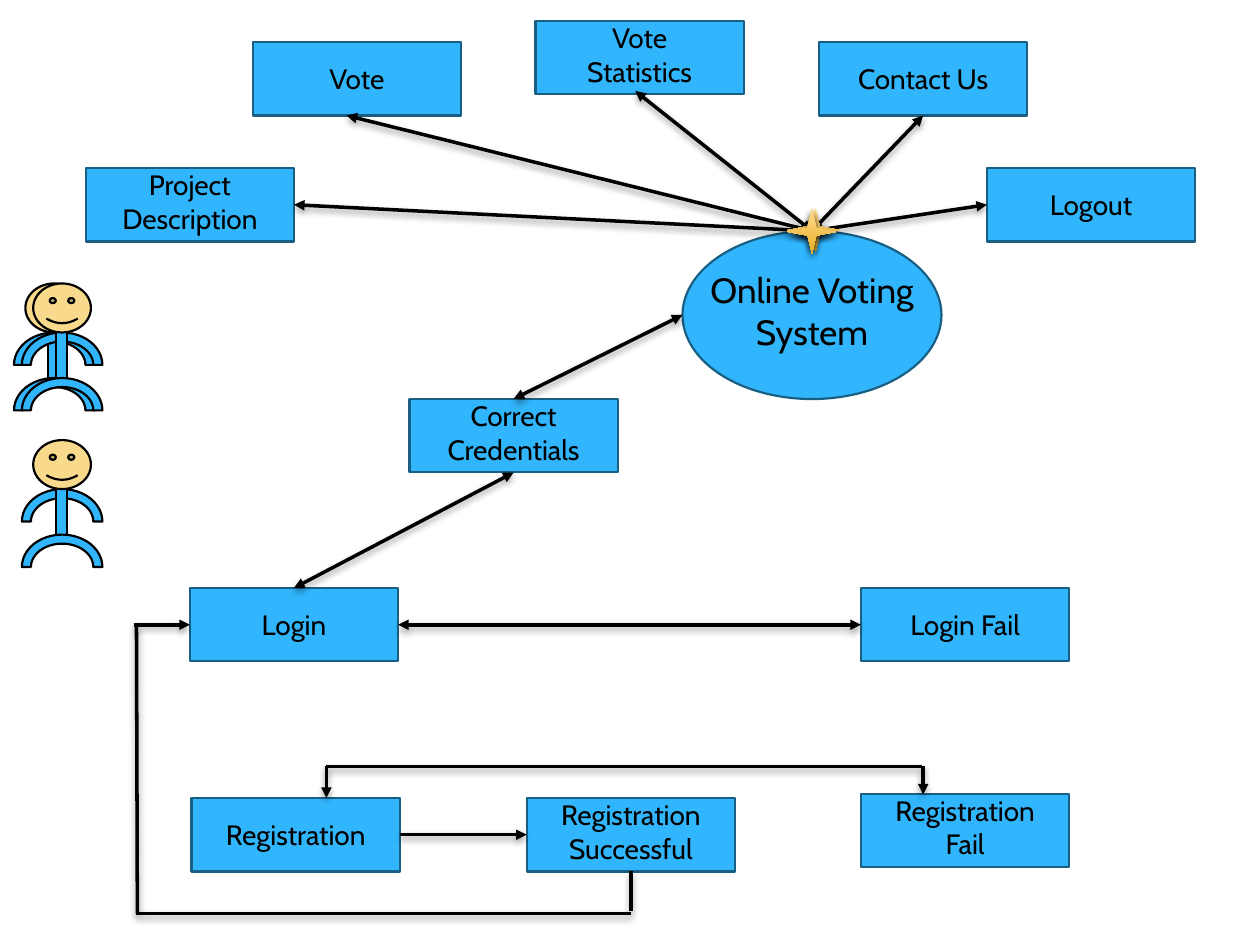
"""Build the online voting system flow diagram slide."""
from lxml import etree
from pptx import Presentation
from pptx.dml.color import RGBColor
from pptx.enum.shapes import MSO_CONNECTOR, MSO_SHAPE
from pptx.enum.text import MSO_AUTO_SIZE, PP_ALIGN
from pptx.oxml import parse_xml
from pptx.oxml.ns import nsdecls, qn
from pptx.util import Pt

RECT, OVAL, STAR = MSO_SHAPE.RECTANGLE, MSO_SHAPE.OVAL, MSO_SHAPE.STAR_4_POINT
ARC, SMILEY = MSO_SHAPE.BLOCK_ARC, MSO_SHAPE.SMILEY_FACE
STRAIGHT = MSO_CONNECTOR.STRAIGHT
CENTER = PP_ALIGN.CENTER
GROW = MSO_AUTO_SIZE.SHAPE_TO_FIT_TEXT
TOP, LEFT, BOTTOM, RIGHT = range(4)

THEME = {
    "font": "Cabin", "label": 16, "system": 20,
    "blue": "31B6FD", "edge": "195F84", "black": "000000", "skin": "F9D98C",
    "star": ("FFDB8E", "E6AD22"), "outline": 1.25, "arrow": 2,
}

BOX_W, BOX_H = 119, 42
SYSTEM = ("Online Voting System", 390, 132, 148, 96)
HUB = (464, 132)
# name: (left, top, lines of text, label width)
BOXES = {
    "Vote": (144.5, 24, 1, 96),
    "Vote Statistics": (306, 12, 2, 96),
    "Contact Us": (468, 24, 1, 96),
    "Logout": (564, 96, 1, 96),
    "Project Description": (49, 96, 2, 96),
    "Correct Credentials": (234, 228, 2, 96),
    "Login": (108.5, 336, 1, 96),
    "Login Fail": (492, 336, 1, 96),
    "Registration": (109.5, 456, 1, 113),
    "Registration Fail": (492, 453.6, 2, 119),
    "Registration Successful": (301, 456, 2, 120),
}
LABEL_BY_LINES = {1: (7.8, 26.6), 2: (-3.8, 46)}

BOTH, END, NONE = (True, True), (False, True), (False, False)
LINKS = [
    (("Login", TOP), ("Correct Credentials", BOTTOM), BOTH),
    (("Correct Credentials", TOP), (390, 180), BOTH),
    (HUB, (198, 66), BOTH),
    (HUB, (363, 52), BOTH),
    (HUB, ("Logout", LEFT), BOTH),
    (HUB, ("Contact Us", BOTTOM), BOTH),
    (HUB, ("Project Description", RIGHT), BOTH),
    (("Login", RIGHT), ("Login Fail", LEFT), BOTH),
    (("Registration", RIGHT), ("Registration Successful", LEFT), END),
    ((186.5, 438), (527, 438), NONE),
    ((186.5, 438), (186.5, 456), END),
    ((527.5, 438), (527.5, 454), END),
    (("Registration Successful", BOTTOM), (360.5, 520.5), NONE),
    ((78, 522), (360.5, 522), NONE),
    ((78.5, 522), (78, 357), NONE),
    ((76.5, 357), ("Login", LEFT), END),
]

PEOPLE = [(8, 162), (12.5, 251.5), (12.5, 162)]
BODY = [
    (ARC, 0, 28, 46, 37, "blue"),
    (RECT, 19.5, 25.2, 6.5, 34, "blue"),
    (SMILEY, 6.5, 0, 33, 28, "skin"),
    (ARC, 0, 54, 46, 37, "blue"),
]
STARS = [(450, 119), (452, 119), (450, 119), (450, 120), (450, 120)]


def rgb(name):
    return RGBColor.from_string(THEME[name])


def add_shape(shapes, kind, x, y, w, h, fill="blue", line="edge"):
    s = shapes.add_shape(kind, Pt(x), Pt(y), Pt(w), Pt(h))
    s.shadow.inherit = False
    s.fill.solid()
    s.fill.fore_color.rgb = rgb(fill)
    s.line.color.rgb = rgb(line)
    s.line.width = Pt(THEME["outline"])
    return s


def add_text(shapes, text, x, y, w, h, size="label", color="black"):
    s = shapes.add_textbox(Pt(x), Pt(y), Pt(w), Pt(h))
    tf = s.text_frame
    tf.word_wrap = True
    tf.auto_size = GROW
    p = tf.paragraphs[0]
    p.alignment = CENTER
    r = p.add_run()
    r.text = text
    r.font.name, r.font.size = THEME["font"], Pt(THEME[size])
    r.font.color.rgb = rgb(color)


def add_shadow(s):
    sp_pr = s._element.spPr
    for old in sp_pr.findall(qn("a:effectLst")):
        sp_pr.remove(old)
    sp_pr.append(parse_xml(
        f'<a:effectLst {nsdecls("a")}><a:outerShdw blurRad="{Pt(4)}" dist="{Pt(2)}" '
        f'dir="5400000" rotWithShape="0"><a:srgbClr val="{THEME["black"]}">'
        '<a:alpha val="38000"/></a:srgbClr></a:outerShdw></a:effectLst>'))


def add_link(shapes, boxes, start, end, heads):
    x1, y1, x2, y2 = [Pt(v) if start_or_end[0] not in boxes else 0
                      for start_or_end in (start, end) for v in start_or_end]
    s = shapes.add_connector(STRAIGHT, x1, y1, x2, y2)
    for (target, side), connect in ((start, s.begin_connect), (end, s.end_connect)):
        if target in boxes:
            connect(boxes[target], side)
    s.line.color.rgb = rgb("black")
    s.line.width = Pt(THEME["arrow"])
    for tag, shown in zip(("a:headEnd", "a:tailEnd"), heads):
        if shown:
            etree.SubElement(s.line._get_or_add_ln(), qn(tag)).set("type", "triangle")
    add_shadow(s)


def add_person(shapes, x, y):
    group = shapes.add_group_shape().shapes
    for kind, dx, dy, w, h, fill in BODY:
        s = add_shape(group, kind, x + dx, y + dy, w, h, fill=fill, line="black")
        if kind == ARC:
            s.adjustments[2] = 0.14


def add_star(shapes, x, y):
    s = add_shape(shapes, STAR, x, y, 28, 25)
    s.fill.gradient()
    s.fill.gradient_angle = 270
    for stop, color, position in zip(s.fill.gradient_stops, THEME["star"], (0, 1)):
        stop.color.rgb = RGBColor.from_string(color)
        stop.position = position
    s.line.fill.background()
    add_shadow(s)


def main():
    prs = Presentation()
    prs.slide_width, prs.slide_height = Pt(720), Pt(540)
    shapes = prs.slides.add_slide(prs.slide_layouts[6]).shapes

    text, x, y, w, h = SYSTEM
    add_shape(shapes, OVAL, x, y, w, h)
    add_text(shapes, text, x, y + 18, w, 55, size="system")

    boxes = {}
    for text, (x, y, lines, label_w) in BOXES.items():
        boxes[text] = add_shape(shapes, RECT, x, y, BOX_W, BOX_H)
        dy, label_h = LABEL_BY_LINES[lines]
        add_text(shapes, text, x + (BOX_W - label_w) / 2, y + dy, label_w, label_h)

    for start, end, heads in LINKS:
        add_link(shapes, boxes, start, end, heads)
    for x, y in PEOPLE:
        add_person(shapes, x, y)
    for x, y in STARS:
        add_star(shapes, x, y)
    prs.save("out.pptx")


if __name__ == "__main__":
    main()
